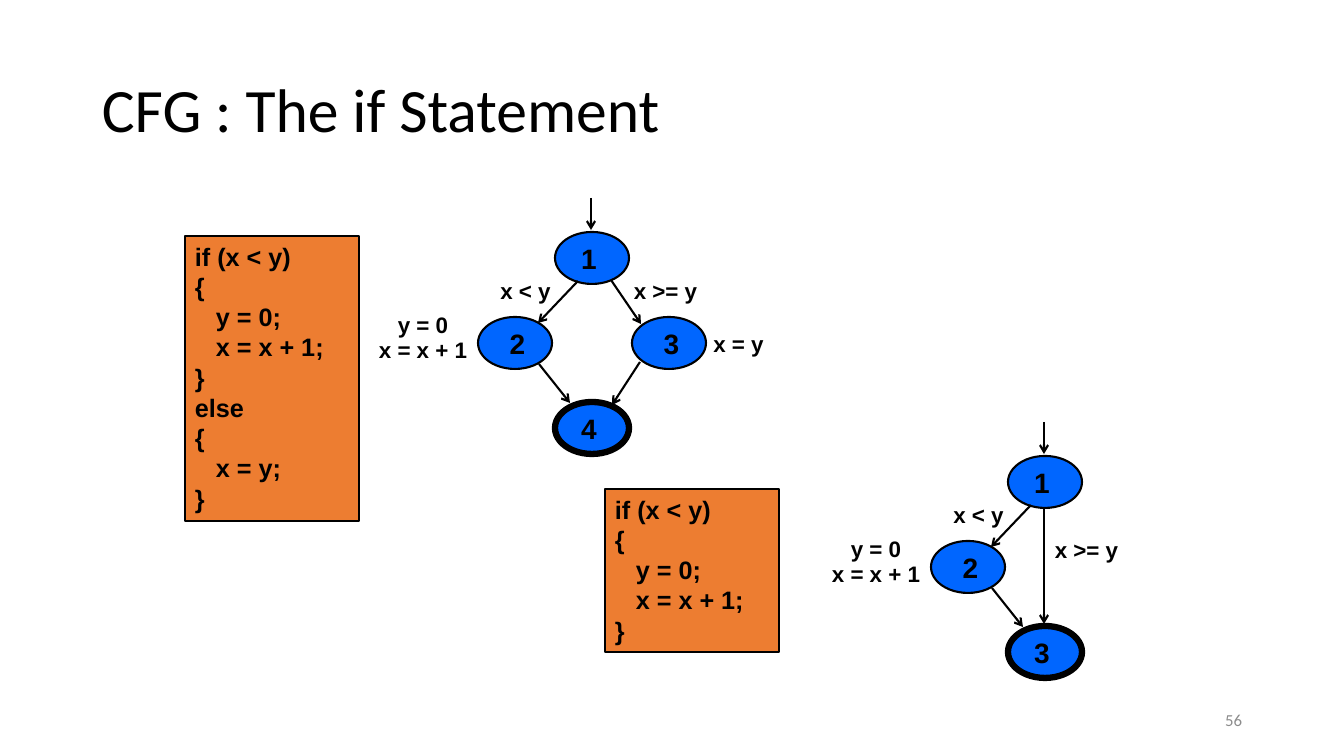
"""Build a slide with control flow graphs for the if statement."""
from lxml import etree
from pptx import Presentation, util as u
from pptx.dml.color import RGBColor
from pptx.enum import shapes, text
from pptx.oxml.ns import qn

COLORS = {"ink": "000000", "code": "ED7D31", "node": "0066FF", "number": "8C8C8C"}
SLIDE = (1344, 756)
TITLE = ("CFG : The if Statement", (92, 40, 1159, 146))
NUMBER = ("56", (950, 700, 302, 40))

THEN = ["if (x < y)", "{", "   y = 0;", "   x = x + 1;", "}"]
CODE = [
    ((185, 236, 174, 285), THEN + ["else", "{", "   x = y;", "}"]),
    ((605, 489, 174, 163), THEN),
]

NODE_W, NODE_H = 74, 52
COL_STEP, ROW_STEP = 77, 85
LABEL_W, LABEL_H = 99, 37
BLOCK_W, BLOCK_H = 124, 52

EDGES = [(113, -34, 113, -2), (100, 49, 60, 91), (61, 132, 92, 171)]
THEN_LABELS = [(["x < y"], -2, 40), (["y = 0", "x = x + 1"], -117, 86)]
GRAPHS = [
    {
        "origin": (478, 232),
        "nodes": [("1", 1, 0), ("2", 0, 1), ("3", 2, 1), ("4", 1, 2)],
        "edges": EDGES + [(133, 48, 163, 92), (162, 130, 134, 173)],
        "labels": THEN_LABELS + [(["x >= y"], 138, 40), (["x = y"], 211, 93)],
    },
    {
        "origin": (931, 456),
        "nodes": [("1", 1, 0), ("2", 0, 1), ("3", 1, 2)],
        "edges": EDGES + [(113, 53, 113, 168)],
        "labels": THEN_LABELS + [(["x >= y"], 106, 75)],
    },
]


def px(n):
    return u.Emu(round(n * 914400 / 100.8))


def rgb(name):
    return RGBColor.from_string(COLORS[name])


def write(sp, lines, size, font="Arial", color="ink", bold=True,
          align=text.PP_ALIGN.LEFT, anchor=text.MSO_ANCHOR.TOP,
          spacing=None, before=0):
    tf = sp.text_frame
    tf.word_wrap = True
    tf.vertical_anchor = anchor
    for i, line in enumerate(lines):
        p = tf.paragraphs[0] if i == 0 else tf.add_paragraph()
        p.text = line
        p.alignment = align
        if spacing:
            p.line_spacing = spacing
        if i and before:
            p.space_before = u.Pt(before)
        p.font.name, p.font.size, p.font.bold = font, u.Pt(size), bold
        p.font.color.rgb = rgb(color)
    return tf


def add_box(s, box):
    return s.shapes.add_textbox(*map(px, box))


def add_filled(s, kind, box, fill, width):
    sp = s.shapes.add_shape(kind, *map(px, box))
    sp.shadow.inherit = False
    sp.fill.solid()
    sp.fill.fore_color.rgb = rgb(fill)
    sp.line.color.rgb = rgb("ink")
    sp.line.width = u.Pt(width)
    return sp


def add_arrow(s, ends):
    c = s.shapes.add_connector(shapes.MSO_CONNECTOR.STRAIGHT, *map(px, ends))
    c.line.color.rgb = rgb("ink")
    c.line.width = u.Pt(1.5)
    etree.SubElement(c.line._get_or_add_ln(), qn("a:tailEnd"), type="arrow")
    etree.SubElement(c._element.spPr, qn("a:effectLst"))


def add_graph(s, graph):
    x0, y0 = graph["origin"]
    for name, col, row in graph["nodes"]:
        box = (x0 + col * COL_STEP, y0 + row * ROW_STEP, NODE_W, NODE_H)
        sp = add_filled(s, shapes.MSO_SHAPE.OVAL, box, "node", 4.5 if row == 2 else 1.5)
        tf = write(sp, [name], 20, align=text.PP_ALIGN.CENTER,
                   anchor=text.MSO_ANCHOR.MIDDLE)
        tf.margin_top = tf.margin_bottom = 0
        tf.margin_left, tf.margin_right = (0, px(6)) if col == 1 else (px(5), 0)
    for x1, y1, x2, y2 in graph["edges"]:
        add_arrow(s, (x0 + x1, y0 + y1, x0 + x2, y0 + y2))
    for lines, x, y in graph["labels"]:
        block = len(lines) > 1
        size = (BLOCK_W, BLOCK_H) if block else (LABEL_W, LABEL_H)
        write(add_box(s, (x0 + x, y0 + y, *size)), lines, 16,
              align=text.PP_ALIGN.CENTER, spacing=0.5 if block else None, before=8)


def main():
    prs = Presentation()
    prs.slide_width, prs.slide_height = map(px, SLIDE)
    s = prs.slides.add_slide(prs.slide_layouts[6])
    title, box = TITLE
    write(add_box(s, box), [title], 44, font="Calibri", bold=False,
          anchor=text.MSO_ANCHOR.MIDDLE, spacing=0.9)
    for box, lines in CODE:
        sp = add_filled(s, shapes.MSO_SHAPE.RECTANGLE, box, "code", 1)
        write(sp, lines, 18, spacing=u.Pt(21.6))
    for graph in GRAPHS:
        add_graph(s, graph)
    number, box = NUMBER
    write(add_box(s, box), [number], 12, font="Calibri", color="number", bold=False,
          align=text.PP_ALIGN.RIGHT, anchor=text.MSO_ANCHOR.MIDDLE)
    prs.save("out.pptx")


if __name__ == "__main__":
    main()
